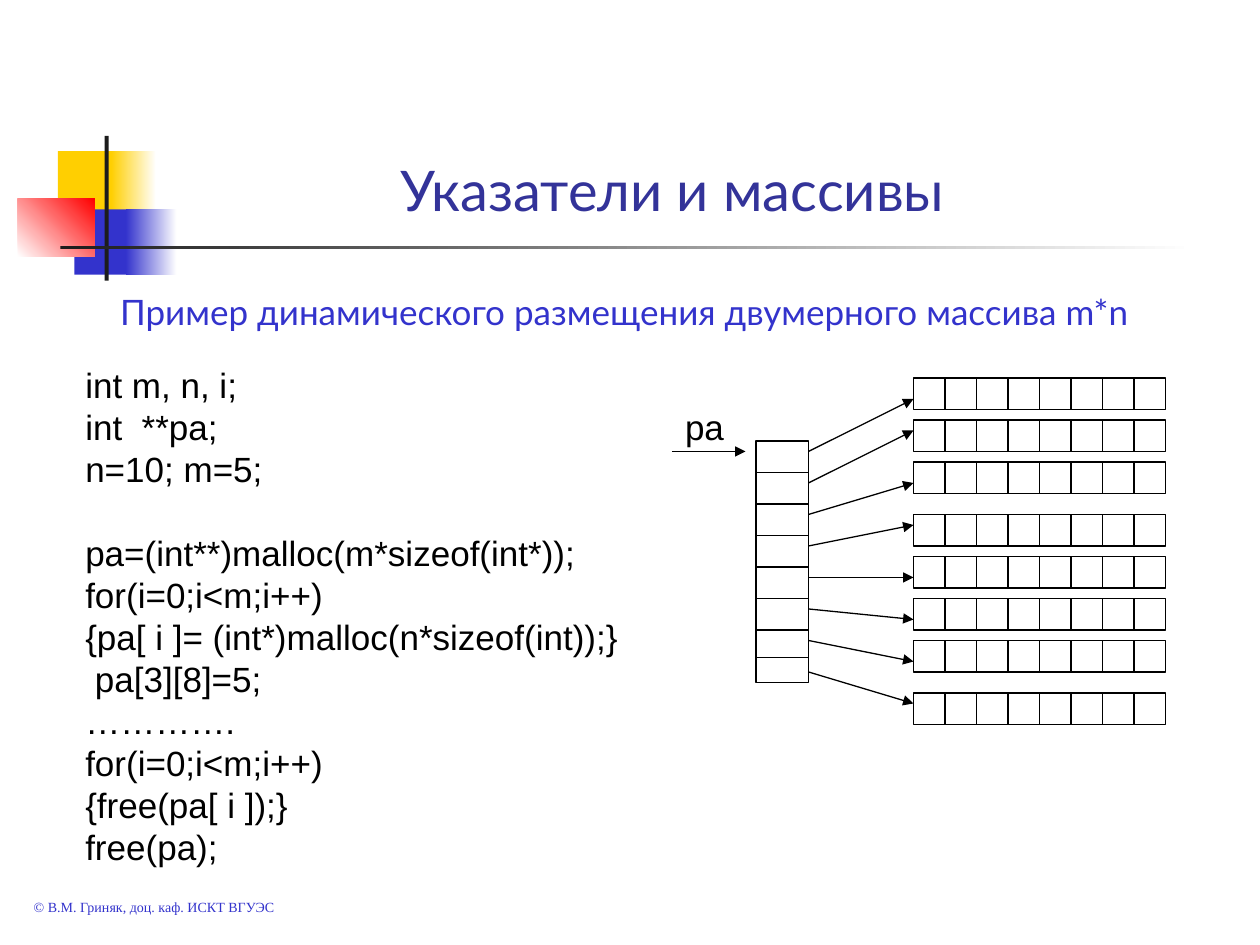
from pptx import Presentation
from pptx import util as u
from pptx.dml.color import RGBColor
from pptx.enum import shapes, text
from pptx.oxml.ns import qn
from lxml import etree

BLACK = RGBColor(0x00, 0x00, 0x00)
WHITE = RGBColor(0xFF, 0xFF, 0xFF)
DARK = RGBColor(0x1C, 0x1C, 0x1C)
GOLD = RGBColor(0xFF, 0xCF, 0x01)
RED = RGBColor(0xFF, 0x00, 0x00)
BLUE = RGBColor(0x33, 0x33, 0xCC)
NAVY = RGBColor(0x33, 0x33, 0x99)

# left, top, width, height in cm; first colour, last colour, angle
DECOR = [
    (1.17, 3.05, 1.22, 1.32, GOLD, None, 0),
    (2.24, 3.05, 0.91, 1.32, GOLD, WHITE, 0),
    (1.50, 4.22, 1.17, 1.32, BLUE, None, 0),
    (2.54, 4.22, 1.02, 1.32, BLUE, WHITE, 0),
    (0.36, 4.01, 1.55, 1.17, WHITE, RED, 45),
    (2.11, 2.74, 0.08, 2.92, DARK, None, 0),
    (1.22, 4.95, 22.86, 0.08, DARK, WHITE, 0),
]

CODE = """int m, n, i;
int  **pa;
n=10; m=5;

pa=(int**)malloc(m*sizeof(int*));
for(i=0;i<m;i++)
{pa[ i ]= (int*)malloc(n*sizeof(int));}
 pa[3][8]=5;
………….
for(i=0;i<m;i++)
{free(pa[ i ]);}
free(pa);"""

# The diagram lies on a grid of 12 units to the inch
UNIT = 2.54 / 12
ROWS = [36, 40, 44, 49, 53, 57, 61, 66]   # tops of the array rows
TIPS = [38, 41, 46, 50, 55, 59, 63, 67]   # heights of the arrow tips
LEFT, RIGHT, TOP, END = 72, 77, 42, 65    # pointer column
CELLS, CELL, START = 8, 3, 87             # cells of a row


def grid(*vals):
    return [u.Cm(v * UNIT) for v in vals]


def style(obj, **vals):
    for name, val in vals.items():
        setattr(obj, name, val)


def add_rect(slide, box):
    rect = slide.shapes.add_shape(shapes.MSO_SHAPE.RECTANGLE, *box)
    rect.shadow.inherit = False
    return rect


def add_block(slide, box, first, last, angle):
    """Decorative block, plain or with a gradient."""
    rect = add_rect(slide, [u.Cm(v) for v in box])
    rect.line.fill.background()
    if last is None:
        rect.fill.solid()
        rect.fill.fore_color.rgb = first
        return
    rect.fill.gradient()
    rect.fill.gradient_angle = angle
    for stop, color in zip(rect.fill.gradient_stops, (first, last)):
        stop.color.rgb = color


def add_frame(slide, *box):
    rect = add_rect(slide, grid(*box))
    rect.fill.background()
    rect.line.color.rgb = BLACK
    rect.line.width = u.Pt(0.75)


def add_line(slide, *ends, arrow=False):
    line = slide.shapes.add_connector(
        shapes.MSO_CONNECTOR.STRAIGHT, *grid(*ends))
    line.line.color.rgb = BLACK
    line.line.width = u.Pt(0.75)
    if arrow:
        etree.SubElement(line.line._get_or_add_ln(), qn("a:tailEnd"),
                         type="triangle")
    etree.SubElement(line._element.spPr, qn("a:effectLst"))


def fill_text(frame, words, size, face, color, wrap=True,
              anchor=text.MSO_ANCHOR.TOP, **para):
    """Write lines; an empty line becomes space before the next one."""
    style(frame, word_wrap=wrap, vertical_anchor=anchor,
          auto_size=text.MSO_AUTO_SIZE.NONE,
          margin_left=u.Cm(0.25), margin_right=u.Cm(0.25),
          margin_top=u.Cm(0.13), margin_bottom=u.Cm(0.13))
    item, gap = frame.paragraphs[0], False
    for num, words_line in enumerate(words.split("\n")):
        if not words_line:
            gap = True
            continue
        if num:
            item = frame.add_paragraph()
        item.add_run().text = words_line
        style(item, **para)
        style(item.font, size=u.Pt(size), name=face, bold=False)
        item.font.color.rgb = color
        style(item.runs[0].font, size=u.Pt(size), name=face)
        item.runs[0].font.color.rgb = color
        if gap:
            item.space_before = u.Pt(24)
            gap = False


def add_text(slide, box, *args, **opts):
    area = slide.shapes.add_textbox(*[u.Cm(v) for v in box])
    fill_text(area.text_frame, *args, **opts)


def set_title(slide):
    title = slide.shapes.title
    style(title, left=u.Cm(2.74), top=u.Cm(1.47),
          width=u.Cm(21.64), height=u.Cm(3.15))
    fill_text(title.text_frame, "Указатели и массивы", 32, "Lato", NAVY,
              anchor=text.MSO_ANCHOR.BOTTOM,
              alignment=text.PP_ALIGN.CENTER)


def add_column(slide):
    """Column of pointers."""
    add_frame(slide, LEFT, TOP, RIGHT - LEFT, END - TOP)
    for y in [*range(TOP + CELL, 61, CELL), 62.6]:
        add_line(slide, LEFT, y, RIGHT, y)


def add_row(slide, top):
    """One array row, split into cells."""
    add_frame(slide, START, top, CELLS * CELL, CELL)
    for num in range(1, CELLS):
        x = START + num * CELL
        add_line(slide, x, top, x, top + CELL)


def main():
    deck = Presentation()
    style(deck, slide_width=u.Cm(25.4), slide_height=u.Cm(19.05))
    slide = deck.slides.add_slide(deck.slide_layouts[5])

    # Ornament and texts
    for *box, first, last, angle in DECOR:
        add_block(slide, box, first, last, angle)
    set_title(slide)
    add_text(slide, (0.43, 17.98, 6.78, 0.61),
             "© В.М. Гриняк, доц. каф. ИСКТ ВГУЭС",
             8, "Times New Roman", BLUE)
    add_text(slide, (0.84, 5.72, 23.5, 1.12),
             "Пример динамического размещения двумерного массива m*n",
             20, "Lato", BLUE, alignment=text.PP_ALIGN.CENTER)
    add_text(slide, (1.47, 7.19, 23.06, 11.28), CODE, 20, "Arial", BLACK,
             alignment=text.PP_ALIGN.JUSTIFY, line_spacing=u.Pt(24))

    # Memory diagram
    add_column(slide)
    for top in ROWS:
        add_row(slide, top)
    add_line(slide, 64, TOP + 1, 71, TOP + 1, arrow=True)
    for num, tip in enumerate(TIPS):
        add_line(slide, RIGHT, TOP + 1 + num * CELL, START, tip, arrow=True)
    add_text(slide, (13.56, 8.05, 1.3, 1.12), "pa", 20, "Arial", BLACK,
             wrap=False)
    deck.save("out.pptx")


if __name__ == "__main__":
    main()
